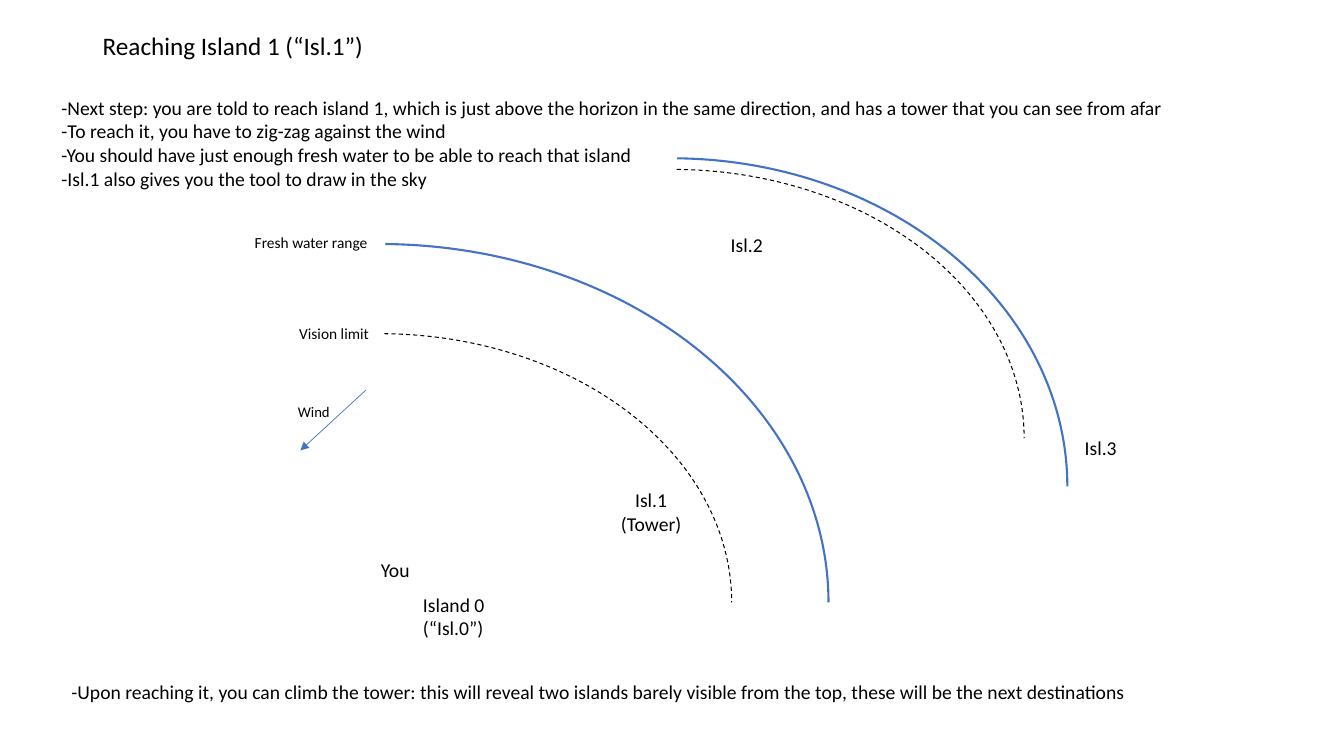
from lxml import etree
from pptx import Presentation
from pptx.dml.color import RGBColor
from pptx.enum.dml import MSO_LINE
from pptx.enum.shapes import MSO_CONNECTOR, MSO_SHAPE
from pptx.enum.text import MSO_AUTO_SIZE, PP_ALIGN
from pptx.oxml.ns import qn
from pptx.util import Cm, Pt

ARC = MSO_SHAPE.ARC
STRAIGHT = MSO_CONNECTOR.STRAIGHT
DASH = MSO_LINE.DASH
FIT_TEXT = MSO_AUTO_SIZE.SHAPE_TO_FIT_TEXT
LEFT, CENTER = PP_ALIGN.LEFT, PP_ALIGN.CENTER

FONT = "Calibri"
BLACK, BLUE = "000000", "4472C4"
ARC_START, ARC_END = 162.56, 0

INSTRUCTIONS = [
    "-Next step: you are told to reach island 1, which is just above the horizon "
    "in the same direction, and has a tower that you can see from afar",
    "-To reach it, you have to zig-zag against the wind",
    "-You should have just enough fresh water to be able to reach that island",
    "-Isl.1 also gives you the tool to draw in the sky",
]
OUTCOME = (
    "-Upon reaching it, you can climb the tower: this will reveal two islands "
    "barely visible from the top, these will be the next destinations"
)

# Left, top, width, height in cm
VISION_ARCS = [(0.71, 8.41, 17.73, 13.54), (8.08, 4.27, 17.73, 13.54)]
WATER_ARCS = [(-1.75, 6.15, 22.63, 18.06), (6.96, 3.99, 19.94, 16.54)]
ISLANDS = [
    ("Isl.1\n(Tower)", (15.19, 12.17, 2.44, 1.45)),
    ("Isl.2", (17.6, 5.74, 2.44, 0.86)),
    ("Isl.3", (26.52, 10.87, 2.44, 0.86)),
]
SMALL_LABELS = [
    ("Vision limit", (7.29, 8.05, 2.26, 0.74), 11),
    ("Fresh water range", (6.17, 5.74, 3.4, 0.74), 11),
    ("Wind", (7.26, 10.03, 1.37, 0.74), 10.5),
]


def color(hex_string):
    return RGBColor.from_string(hex_string)


def add_text(slide, lines, box, size=14, wrap=True, align=LEFT):
    shape = slide.shapes.add_textbox(*map(Cm, box))
    text_frame = shape.text_frame
    text_frame.word_wrap = wrap
    text_frame.auto_size = FIT_TEXT
    for index, line in enumerate(lines):
        paragraph = text_frame.add_paragraph() if index else text_frame.paragraphs[0]
        paragraph.text = line
        paragraph.alignment = align
        for run in paragraph.runs:
            run.font.name = FONT
            run.font.size = Pt(size)
            run.font.color.rgb = color(BLACK)


def add_arc(slide, box, line_color, width, dash=None):
    shape = slide.shapes.add_shape(ARC, *map(Cm, box))
    shape.shadow.inherit = False
    shape.adjustments[0] = ARC_START
    shape.adjustments[1] = ARC_END
    shape.fill.background()
    shape.line.color.rgb = color(line_color)
    shape.line.width = Pt(width)
    if dash:
        shape.line.dash_style = dash


def add_arrow(slide, start, end, line_color, width):
    connector = slide.shapes.add_connector(STRAIGHT, *map(Cm, start + end))
    connector.line.color.rgb = color(line_color)
    connector.line.width = Pt(width)
    properties = connector.element.spPr
    etree.SubElement(properties.find(qn("a:ln")), qn("a:tailEnd"), type="triangle")
    etree.SubElement(properties, qn("a:effectLst"))


def main():
    presentation = Presentation()
    presentation.slide_width = Cm(33.87)
    presentation.slide_height = Cm(19.05)
    slide = presentation.slides.add_slide(presentation.slide_layouts[6])

    # Title and explanations
    add_text(slide, ["Reaching Island 1 (“Isl.1”)"], (2.34, 0.64, 7.14, 1.02), 18, wrap=False)
    add_text(slide, INSTRUCTIONS, (1.3, 2.29, 29.64, 2.64))
    add_text(slide, [OUTCOME], (1.55, 17.02, 27.13, 0.86))

    # Limits of sight and of fresh water
    for box in VISION_ARCS:
        add_arc(slide, box, BLACK, 0.75, DASH)
    for box in WATER_ARCS:
        add_arc(slide, box, BLUE, 1.5)

    # Starting point and islands
    add_text(slide, ["You"], (9.35, 13.94, 1.24, 0.86), wrap=False)
    add_text(slide, ["Island 0 (“Isl.0”)"], (10.41, 14.81, 2.44, 1.45))
    for name, box in ISLANDS:
        add_text(slide, [name], box, align=CENTER)

    # Wind direction and small labels
    add_arrow(slide, (9.22, 9.83), (7.57, 11.35), BLUE, 0.5)
    for label, box, size in SMALL_LABELS:
        add_text(slide, [label], box, size, wrap=False)

    presentation.save("out.pptx")


if __name__ == "__main__":
    main()
